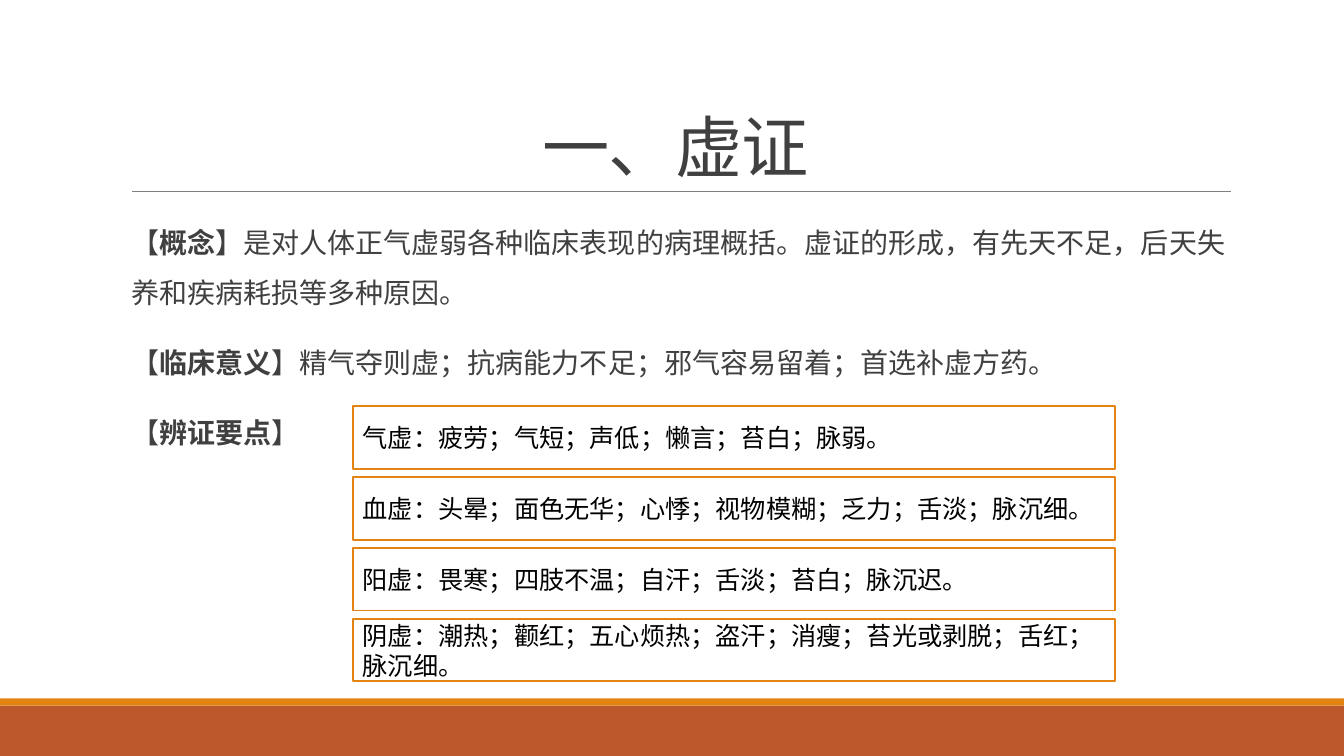
"""Build a slide on deficiency syndromes with concept text and four key-point boxes."""
import pptx
import pptx.dml.color
import pptx.enum.shapes
import pptx.enum.text
import pptx.oxml
import pptx.oxml.ns
import pptx.util
from pptx.util import Inches

ORANGE, RUST, GREY, DARK = "E48312", "BD582C", "808080", "404040"
LATIN, CJK = "Calibri", "Noto Sans CJK SC"

SECTIONS = [
    ("概念", "是对人体正气虚弱各种临床表现的病理概括。虚证的形成，有先天不足，后天失养和疾病耗损等多种原因。"),
    ("临床意义", "精气夺则虚；抗病能力不足；邪气容易留着；首选补虚方药。"),
    ("辨证要点", ""),
]
KEY_POINTS = [
    "气虚：疲劳；气短；声低；懒言；苔白；脉弱。",
    "血虚：头晕；面色无华；心悸；视物模糊；乏力；舌淡；脉沉细。",
    "阳虚：畏寒；四肢不温；自汗；舌淡；苔白；脉沉迟。",
    "阴虚：潮热；颧红；五心烦热；盗汗；消瘦；苔光或剥脱；舌红；脉沉细。",
]


def rgb(color):
    """Turn a hex string into a colour."""
    return pptx.dml.color.RGBColor.from_string(color)


def add_element(parent, tag, **attrs):
    """Append a drawing element with the given attributes."""
    child = pptx.oxml.parse_xml(f"<a:{tag} {pptx.oxml.ns.nsdecls('a')}/>")
    for name, value in attrs.items():
        child.set(name, value)
    parent.append(child)
    return child


def add_run(p, text, size, color, font=LATIN, bold=False):
    """Add one formatted run to a paragraph."""
    r = p.add_run()
    r.text = text
    r.font.size = pptx.util.Pt(size)
    r.font.bold = bold
    r.font.name = font
    r.font.color.rgb = rgb(color)
    add_element(r.font._element, "ea", typeface=CJK)
    return r


def place(sp, x, y, w, h):
    """Move a shape to a box given in inches."""
    sp.left, sp.top, sp.width, sp.height = map(Inches, (x, y, w, h))


def add_box(s, x, y, w, h, fill, line=None):
    """Add a flat rectangle with an optional outline."""
    sp = s.shapes.add_shape(pptx.enum.shapes.MSO_SHAPE.RECTANGLE,
                            *map(Inches, (x, y, w, h)))
    sp.shadow.inherit = False
    sp.fill.solid()
    sp.fill.fore_color.rgb = rgb(fill)
    if line:
        sp.line.color.rgb = rgb(line)
        sp.line.width = pptx.util.Pt(1.25)
    else:
        sp.line.fill.background()
    return sp


def add_footer(s, x, y, w, h):
    """Draw the rust band with its thin orange strip on top."""
    strip = 0.07
    add_box(s, x, y + strip, w, h - strip, RUST)
    add_box(s, x, y, w, strip, ORANGE)


def add_title(s, x, y, w, h, text):
    """Fill the title placeholder and rule a line along its foot."""
    rule = s.shapes.add_connector(pptx.enum.shapes.MSO_CONNECTOR.STRAIGHT,
                                  *map(Inches, (x + 0.11, y + h, x + w + 0.01, y + h)))
    rule.line.color.rgb = rgb(GREY)
    rule.line.width = pptx.util.Pt(0.5)
    add_element(rule._element.spPr, "effectLst")
    place(s.shapes.title, x, y, w, h)
    tf = s.shapes.title.text_frame
    tf.auto_size = pptx.enum.text.MSO_AUTO_SIZE.NONE
    tf.vertical_anchor = pptx.enum.text.MSO_ANCHOR.BOTTOM
    p = tf.paragraphs[0]
    p.alignment = pptx.enum.text.PP_ALIGN.CENTER
    p.line_spacing = 0.85
    r = add_run(p, text, 48, DARK, CJK)
    r.font._element.set("spc", "-50")


def add_sections(s, x, y, w, h, sections):
    """Fill the body placeholder with bracketed headings and their text."""
    body = s.placeholders[1]
    place(body, x, y, w, h)
    tf = body.text_frame
    tf.auto_size = pptx.enum.text.MSO_AUTO_SIZE.NONE
    tf.vertical_anchor = pptx.enum.text.MSO_ANCHOR.TOP
    tf.margin_left = tf.margin_right = 0
    for i, (heading, text) in enumerate(sections):
        p = tf.add_paragraph() if i else tf.paragraphs[0]
        p.line_spacing = 1.5
        p.space_before, p.space_after = pptx.util.Pt(12), pptx.util.Pt(2)
        pPr = p._p.get_or_add_pPr()
        pPr.set("marL", str(Inches(0.1)))
        pPr.set("indent", str(Inches(-0.1)))
        add_element(add_element(pPr, "buClr"), "srgbClr", val=ORANGE)
        add_element(pPr, "buFont", typeface=LATIN)
        add_element(pPr, "buChar", char=" ")
        add_run(p, "【", 20, DARK)
        add_run(p, heading, 20, DARK, bold=True)
        add_run(p, "】" + text, 20, DARK)


def add_key_points(s, x, y, w, h, points, gap=0.08):
    """Stack one outlined box per key point, evenly filling the region."""
    box_h = (h - gap * (len(points) - 1)) / len(points)
    for i, text in enumerate(points):
        sp = add_box(s, x, y + i * (box_h + gap), w, box_h, "FFFFFF", ORANGE)
        tf = sp.text_frame
        tf.word_wrap = True
        tf.vertical_anchor = pptx.enum.text.MSO_ANCHOR.MIDDLE
        p = tf.paragraphs[0]
        p.alignment = pptx.enum.text.PP_ALIGN.LEFT
        add_run(p, text, 18, "000000")


def main():
    """Build and save the slide."""
    prs = pptx.Presentation()
    prs.slide_width, prs.slide_height = Inches(13.33), Inches(7.5)
    s = prs.slides.add_slide(prs.slide_layouts[1])
    add_footer(s, 0, 6.93, 13.33, 0.57)
    add_title(s, 1.2, 0.31, 11, 1.59, "一、虚证")
    add_sections(s, 1.2, 2.02, 11, 4.4, SECTIONS)
    add_key_points(s, 3.5, 4.03, 7.56, 2.73, KEY_POINTS)
    prs.save("out.pptx")


if __name__ == "__main__":
    main()
